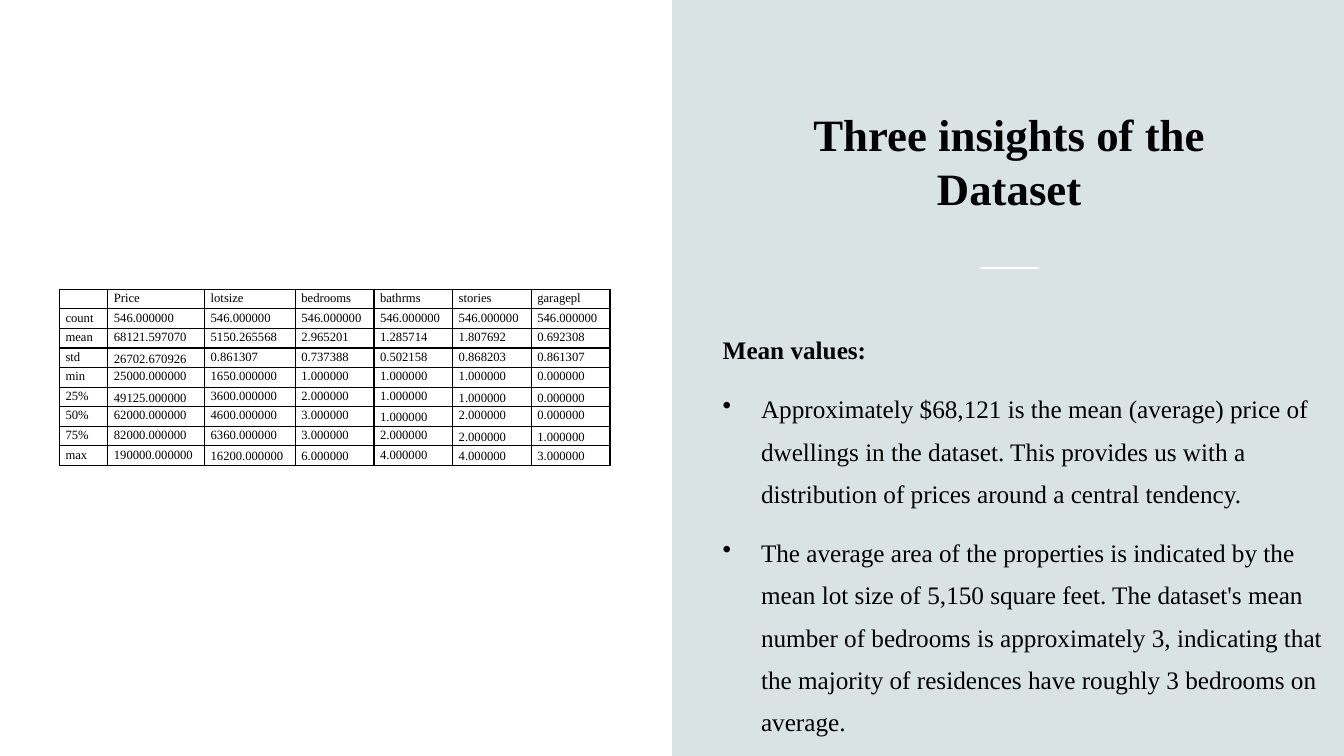
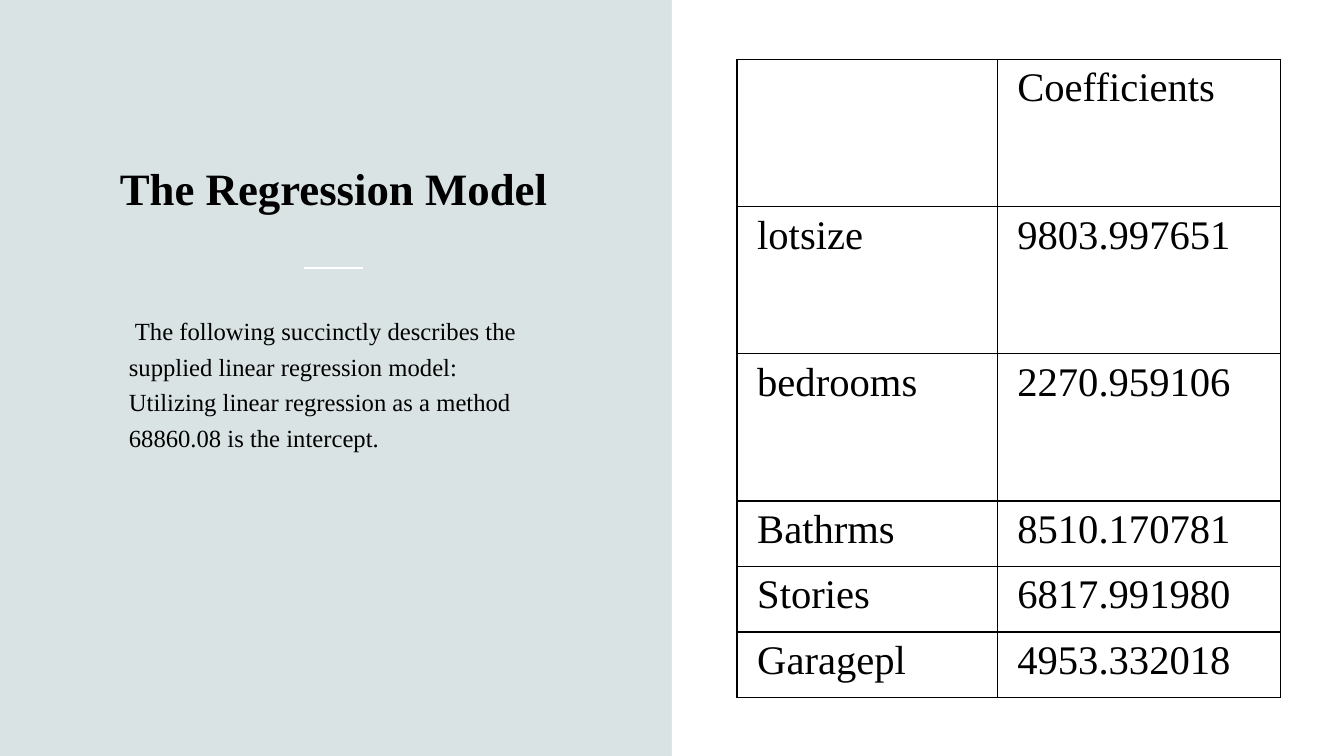
from pptx import Presentation
from pptx.dml.color import RGBColor
from pptx.enum.shapes import MSO_CONNECTOR, MSO_SHAPE
from pptx.enum.text import MSO_ANCHOR, MSO_AUTO_SIZE, PP_ALIGN
from pptx.oxml.ns import qn
from pptx.util import Inches, Pt
from lxml.etree import SubElement

# Shared style
WIDTH, HEIGHT = 13.33, 7.5
HALF = WIDTH / 2
FONT = "Times New Roman"
COLORS = {"background": "DAE3E3", "panel": "FFFFFF", "rule": "FFFFFF",
          "text": "000000", "border": "000000"}
TITLE_TOP, TITLE_WIDTH, TITLE_HEIGHT = 0.59, 4.46, 1.59
RULE_TOP, RULE_WIDTH = 2.66, 0.59

# Content
INSIGHTS_TITLE = "Three insights of the Dataset"
INSIGHTS_HEADING = "Mean values:"
INSIGHTS = [
    "Approximately $68,121 is the mean (average) price of dwellings in the dataset. "
    "This provides us with a distribution of prices around a central tendency.",
    "The average area of the properties is indicated by the mean lot size of 5,150 "
    "square feet. The dataset's mean number of bedrooms is approximately 3, indicating "
    "that the majority of residences have roughly 3 bedrooms on average.",
]
STATISTICS = [
    ("", "Price", "lotsize", "bedrooms", "bathrms", "stories", "garagepl"),
    ("count",) + ("546.000000",) * 6,
    ("mean", "68121.597070", "5150.265568", "2.965201", "1.285714", "1.807692", "0.692308"),
    ("std", "26702.670926", "0.861307", "0.737388", "0.502158", "0.868203", "0.861307"),
    ("min", "25000.000000", "1650.000000", "1.000000", "1.000000", "1.000000", "0.000000"),
    ("25%", "49125.000000", "3600.000000", "2.000000", "1.000000", "1.000000", "0.000000"),
    ("50%", "62000.000000", "4600.000000", "3.000000", "1.000000", "2.000000", "0.000000"),
    ("75%", "82000.000000", "6360.000000", "3.000000", "2.000000", "2.000000", "1.000000"),
    ("max", "190000.000000", "16200.000000", "6.000000", "4.000000", "4.000000", "3.000000"),
]
# Row and column of the vertically centred statistics
CENTRED = {(3, 1), (5, 1), (5, 5), (5, 6), (6, 4), (7, 5), (7, 6),
           (8, 2), (8, 3), (8, 5), (8, 6)}

MODEL_TITLE = "The Regression Model"
MODEL_TEXT = ("The following succinctly describes the supplied linear regression model:\v"
              "Utilizing linear regression as a method\v"
              "68860.08 is the intercept.")
COEFFICIENTS = [
    ("", "Coefficients"),
    ("lotsize", "9803.997651"),
    ("bedrooms", "2270.959106"),
    ("Bathrms", "8510.170781"),
    ("Stories", "6817.991980"),
    ("Garagepl", "4953.332018"),
]


def color(name):
    return RGBColor.from_string(COLORS[name])


def format_paragraph(paragraph, size, bold=False, spacing=None, after=0):
    paragraph.font.name = FONT
    paragraph.font.size = Pt(size)
    paragraph.font.bold = bold
    paragraph.font.color.rgb = color("text")
    paragraph.space_after = Pt(after)
    if spacing:
        paragraph.line_spacing = spacing


def indent(paragraph, left, first):
    properties = paragraph._p.get_or_add_pPr()
    properties.set("marL", str(Inches(left)))
    properties.set("indent", str(Inches(first)))
    return properties


def add_bullet(paragraph):
    properties = indent(paragraph, 0.38, -0.38)
    bullet = SubElement(properties, qn("a:buChar"))
    bullet.set("char", "•")
    default_font = properties.find(qn("a:defRPr"))
    if default_font is not None:
        default_font.addprevious(bullet)


def add_half_slide(presentation, title_text, title_left, panel_left):
    """Title with a short rule on one half, a white panel on the other."""
    slide = presentation.slides.add_slide(presentation.slide_layouts[5])
    title = slide.shapes.title
    title.left, title.top = Inches(title_left), Inches(TITLE_TOP)
    title.width, title.height = Inches(TITLE_WIDTH), Inches(TITLE_HEIGHT)
    frame = title.text_frame
    frame.text = title_text
    frame.word_wrap = True
    frame.auto_size = MSO_AUTO_SIZE.NONE
    frame.vertical_anchor = MSO_ANCHOR.BOTTOM
    paragraph = frame.paragraphs[0]
    paragraph.alignment = PP_ALIGN.CENTER
    format_paragraph(paragraph, 32, bold=True, after=6)

    panel = slide.shapes.add_shape(MSO_SHAPE.RECTANGLE, Inches(panel_left), 0,
                                   Inches(HALF), Inches(HEIGHT))
    panel.shadow.inherit = False
    panel.fill.solid()
    panel.fill.fore_color.rgb = color("panel")
    panel.line.fill.background()

    rule_left = title_left + (TITLE_WIDTH - RULE_WIDTH) / 2
    rule = slide.shapes.add_connector(
        MSO_CONNECTOR.STRAIGHT, Inches(rule_left), Inches(RULE_TOP),
        Inches(rule_left + RULE_WIDTH), Inches(RULE_TOP))
    rule.line.color.rgb = color("rule")
    rule.line.width = Pt(1)
    SubElement(rule._element.spPr, qn("a:effectLst"))
    return slide


def add_body(slide, left, top, width, height, texts):
    box = slide.shapes.add_textbox(Inches(left), Inches(top), Inches(width), Inches(height))
    frame = box.text_frame
    frame.word_wrap = True
    frame.text = "\n".join(texts)
    return frame.paragraphs


def add_borders(cell):
    properties = cell._tc.get_or_add_tcPr()
    for position, side in enumerate(("a:lnL", "a:lnR", "a:lnT", "a:lnB")):
        line = properties.makeelement(qn(side), {"w": str(Pt(1))})
        fill = SubElement(line, qn("a:solidFill"))
        SubElement(fill, qn("a:srgbClr")).set("val", COLORS["border"])
        properties.insert(position, line)


def add_grid(slide, left, top, columns, rows, values, size, insets, centred=()):
    table = slide.shapes.add_table(
        len(rows), len(columns), Inches(left), Inches(top),
        Inches(sum(columns)), Inches(sum(rows))).table
    table.first_row = table.horz_banding = False
    for column, width in zip(table.columns, columns):
        column.width = Inches(width)
    side, upper = insets
    for r, (row, height) in enumerate(zip(table.rows, rows)):
        row.height = Inches(height)
        for c, cell in enumerate(row.cells):
            cell.margin_left = cell.margin_right = Inches(side)
            cell.margin_top, cell.margin_bottom = Inches(upper), 0
            cell.vertical_anchor = MSO_ANCHOR.MIDDLE if (r, c) in centred else MSO_ANCHOR.TOP
            cell.fill.background()
            add_borders(cell)
            cell.text = values[r][c]
            paragraph = cell.text_frame.paragraphs[0]
            format_paragraph(paragraph, size, spacing=1.07, after=8)
            if not values[r][c]:  # keeps an empty cell as low as its row
                paragraph._p.get_or_add_endParaRPr().set("sz", str(size * 100))


def build_insights(presentation):
    slide = add_half_slide(presentation, INSIGHTS_TITLE, title_left=7.78, panel_left=0)
    paragraphs = add_body(slide, 7.07, 3.15, 6.26, 4.09, [INSIGHTS_HEADING] + INSIGHTS)
    for number, paragraph in enumerate(paragraphs):
        format_paragraph(paragraph, 18, bold=number == 0, spacing=1.4, after=12)
        if number:
            add_bullet(paragraph)
    add_grid(slide, 0.59, 2.87, [0.48, 0.96, 0.9] + [0.78] * 4, [1.75 / 9] * 9,
             STATISTICS, 9, (0.06, 0.01), CENTRED)


def build_model(presentation):
    slide = add_half_slide(presentation, MODEL_TITLE, title_left=1.08, panel_left=HALF)
    paragraph = add_body(slide, 1.18, 3.03, 4.46, 3.17, [MODEL_TEXT])[0]
    format_paragraph(paragraph, 17.6, spacing=1.2, after=8)
    indent(paragraph, 0, 0.06)
    add_grid(slide, 7.31, 0.59, [2.58, 2.81], [1.46] * 3 + [0.65] * 3,
             COEFFICIENTS, 29, (0.2, 0.03))


def main():
    presentation = Presentation()
    presentation.slide_width, presentation.slide_height = Inches(WIDTH), Inches(HEIGHT)
    background = presentation.slide_master.background.fill
    background.solid()
    background.fore_color.rgb = color("background")
    build_insights(presentation)
    build_model(presentation)
    presentation.save("out.pptx")


if __name__ == "__main__":
    main()
